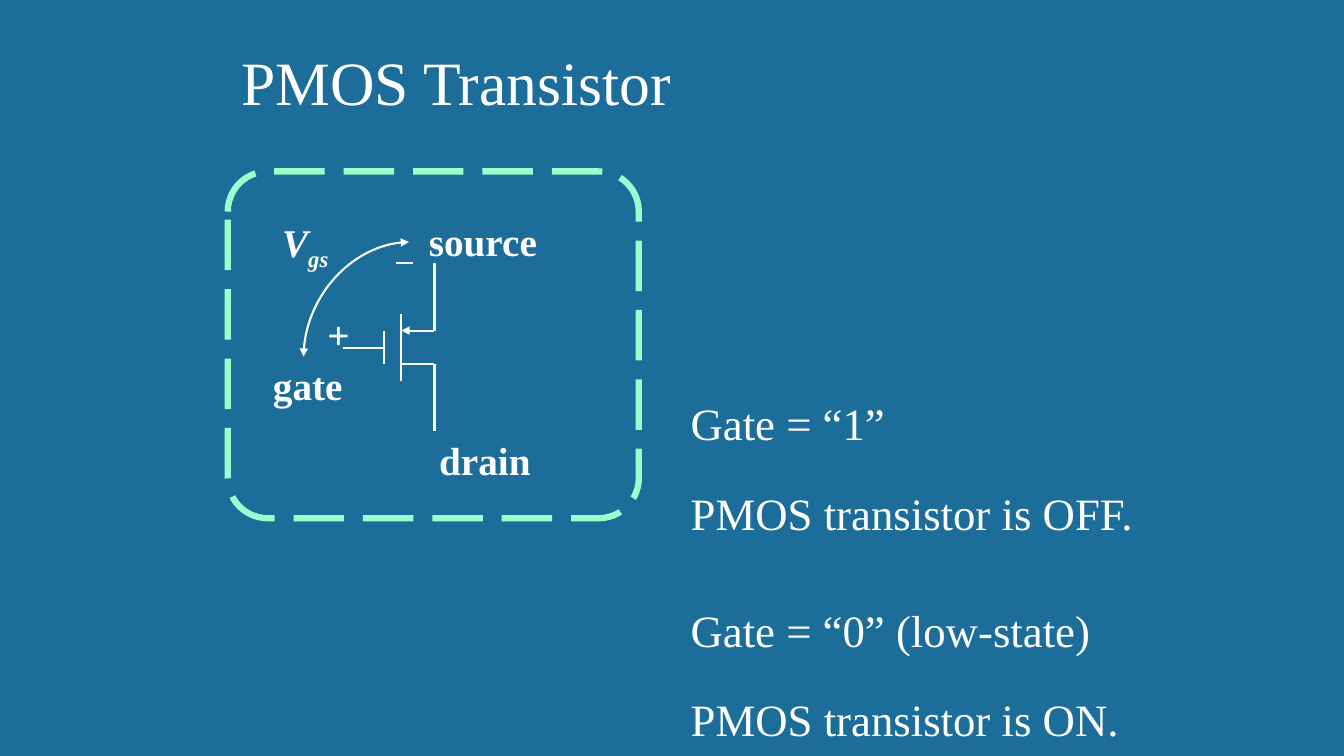
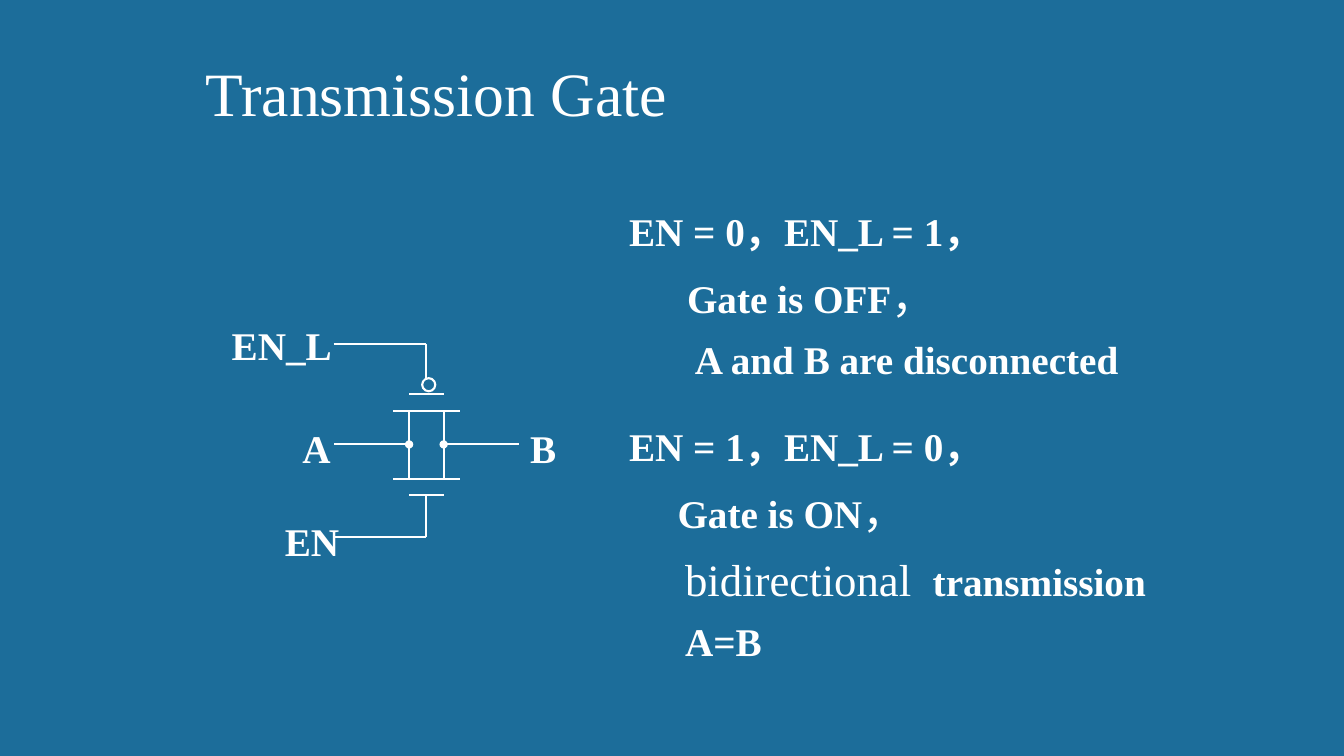
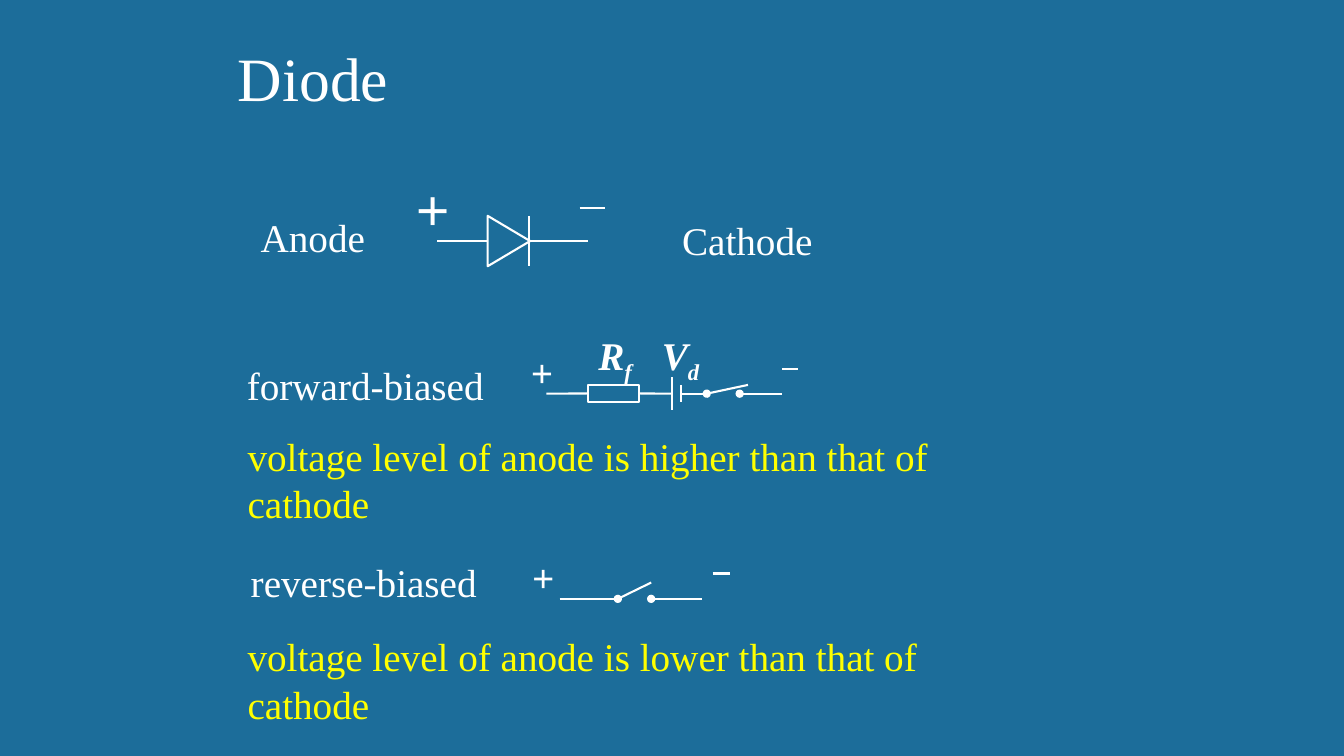
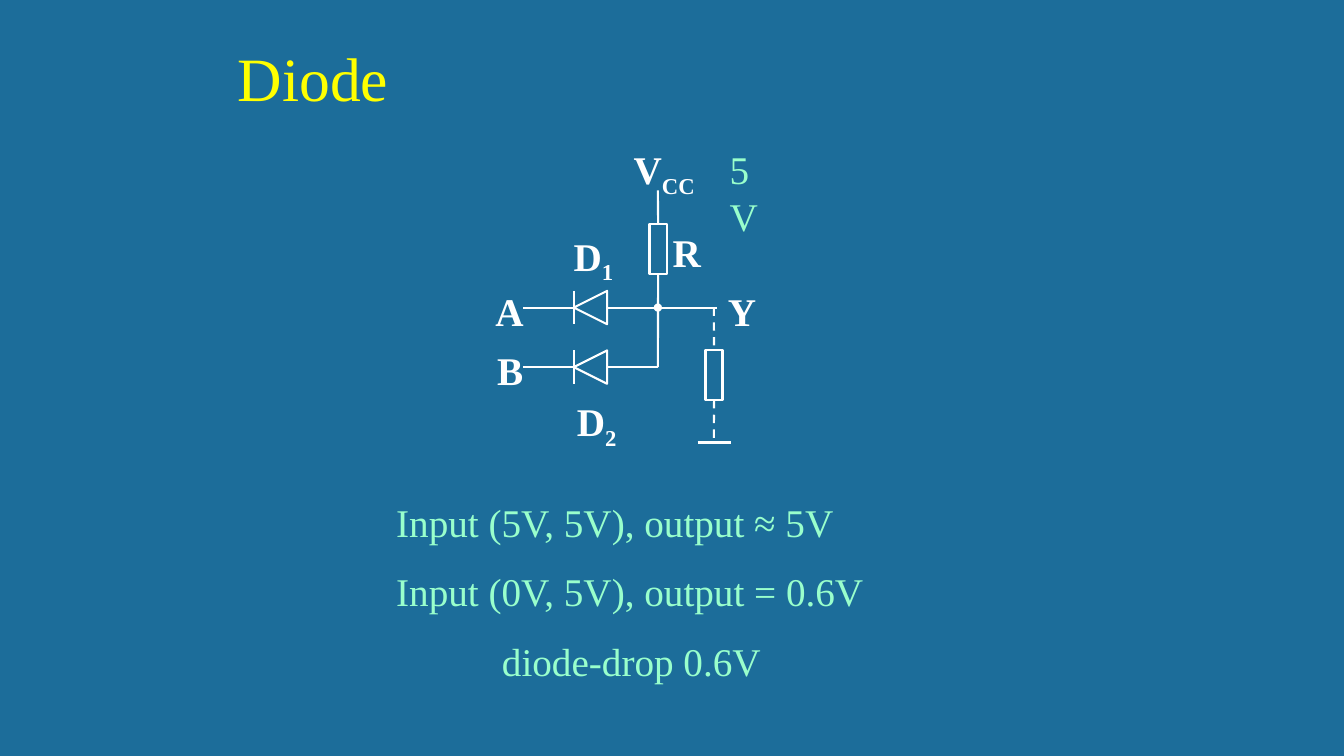
from pptx import Presentation
from pptx import util as u
from pptx.dml.color import RGBColor
from pptx.enum import dml, shapes, text
from pptx.oxml.ns import qn
from lxml import etree

WHITE, YELLOW, MINT, BLUE = "FFFFFF", "FFFF00", "99FFCC", "1C6D9A"
FONT = "Times New Roman"
LEFT, CENTER = text.PP_ALIGN.LEFT, text.PP_ALIGN.CENTER
TOP_SIDE, LEFT_SIDE, BOTTOM_SIDE, RIGHT_SIDE = range(4)
PLAIN, SUB = {}, {"sub": True}


def color(value):
    return RGBColor.from_string(value)


class Board:
    """Holds the deck style and the slide being drawn; lengths in cm."""

    def __init__(self):
        self.deck = Presentation()
        self.deck.slide_width, self.deck.slide_height = u.Cm(33.87), u.Cm(19.05)
        fill = self.deck.slide_master.background.fill
        fill.solid()
        fill.fore_color.rgb = color(BLUE)
        self.page = None

    def new_page(self, title, left, top, tint=WHITE, listed=True):
        layout = self.deck.slide_layouts[1 if listed else 5]
        self.page = self.deck.slides.add_slide(layout)
        box = self.page.shapes.title
        self.place(box, left, top, 21.6, 2.13)
        box.text_frame.vertical_anchor = text.MSO_ANCHOR.BOTTOM
        para = box.text_frame.paragraphs[0]
        para.alignment = LEFT
        self.span(para, title, size=44, tint=tint)

    def place(self, box, left, top, width, height):
        box.left, box.top = u.Cm(left), u.Cm(top)
        box.width, box.height = u.Cm(width), u.Cm(height)
        box.text_frame.word_wrap = True
        box.text_frame.auto_size = text.MSO_AUTO_SIZE.NONE

    def span(self, para, words, size=28, tint=WHITE, bold=False, italic=False, sub=False):
        span = para.add_run()
        span.text = words
        font = span.font
        font.name, font.size = FONT, u.Pt(size)
        font.bold, font.italic = bold, italic
        font.color.rgb = color(tint)
        if sub:
            span.font._element.set("baseline", "-25000")

    def body(self, left, top, width, height, lines, spacing=1.0):
        """Each line: (runs, left indent, space before or None, alignment)."""
        box = self.page.placeholders[1]
        self.place(box, left, top, width, height)
        frame = box.text_frame
        for index, (runs, indent, before, align) in enumerate(lines):
            para = frame.add_paragraph() if index else frame.paragraphs[0]
            para.alignment, para.line_spacing = align, spacing
            if before is not None:
                para.space_before = u.Pt(before)
            props = para._p.get_or_add_pPr()
            props.set("marL", str(u.Cm(indent)))
            props.set("indent", "0")
            etree.SubElement(props, qn("a:buNone"))
            for words, style in runs:
                self.span(para, words, **style)

    def label(self, left, top, width, words, sub="", align=LEFT, **style):
        box = self.page.shapes.add_textbox(u.Cm(left), u.Cm(top), u.Cm(width), u.Cm(1.45))
        box.text_frame.word_wrap = False
        box.text_frame.auto_size = text.MSO_AUTO_SIZE.SHAPE_TO_FIT_TEXT
        para = box.text_frame.paragraphs[0]
        para.alignment = align
        self.span(para, words, **style)
        if sub:
            self.span(para, sub, sub=True, **style)

    def outline(self, kind, left, top, width, height, turn=0, tint=WHITE, weight=1.5):
        shape = self.page.shapes.add_shape(
            kind, u.Cm(left), u.Cm(top), u.Cm(width), u.Cm(height))
        shape.shadow.inherit = False
        shape.fill.background()
        shape.line.color.rgb = color(tint)
        shape.line.width = u.Pt(weight)
        shape.rotation = turn
        return shape

    def resistor(self, left, top, width, height):
        return self.outline(shapes.MSO_SHAPE.RECTANGLE, left, top, width, height)

    def connector(self, start, end, kind=shapes.MSO_CONNECTOR.STRAIGHT,
                  head=None, tail=None, dashed=False):
        line = self.page.shapes.add_connector(kind, *(u.Cm(n) for n in start + end))
        line.line.color.rgb = color(WHITE)
        line.line.width = u.Pt(1.5)
        if dashed:
            line.line.dash_style = dml.MSO_LINE.DASH
        stroke = line.line._get_or_add_ln()
        for tag, mark in (("a:headEnd", head), ("a:tailEnd", tail)):
            if mark:
                etree.SubElement(stroke, qn(tag), type=mark)
        etree.SubElement(line._element.spPr, qn("a:effectLst"))
        return line

    def wire(self, *points, head=None, dashed=False, start=None, end=None):
        """Straight run through the points; start and end are (shape, side)."""
        lines = []
        for first, second in zip(points, points[1:]):
            mark = None if lines else head
            lines.append(self.connector(first, second, head=mark, dashed=dashed))
        if start:
            lines[0].begin_connect(*start)
        if end:
            lines[-1].end_connect(*end)

    def arc(self, start, end):
        line = self.connector(start, end, shapes.MSO_CONNECTOR.CURVE, "triangle", "triangle")
        line._element.spPr.find(qn("a:prstGeom")).set("prst", "curvedConnector2")


def pmos_page(board):
    board.new_page("PMOS Transistor", 5.82, 0.97)
    big = {"size": 32}
    states = [("Gate = “1”", None), ("PMOS transistor is OFF.", None),
              ("Gate = “0” (low-state)", 26), ("PMOS transistor is ON.", None)]
    board.body(17.15, 9.17, 12.5, 9.6,
               [([(words, big)], 0, before, LEFT) for words, before in states], 1.5)

    # Frame
    frame = board.outline(shapes.MSO_SHAPE.ROUNDED_RECTANGLE, 5.74, 4.32, 10.36, 8.74,
                          tint=MINT, weight=4.5)
    frame.adjustments[0] = 0.116
    frame.line.dash_style = dml.MSO_LINE.LONG_DASH

    # Transistor
    board.wire((9.68, 8.33), (9.68, 9.17))
    board.wire((10.11, 7.9), (10.11, 9.6))
    board.wire((10.11, 8.33), (10.95, 8.33), (10.95, 6.63), head="triangle")
    board.wire((10.11, 9.17), (10.95, 9.17), (10.95, 10.87))
    board.wire((9.68, 8.76), (8.64, 8.76))
    board.wire((9.98, 6.63), (10.41, 6.63))
    board.arc((10.31, 6.1), (7.65, 8.99))

    # Labels
    for left, top, width, words in ((10.56, 5.36, 3.25, "source"), (10.82, 10.87, 2.84, "drain"),
                                    (6.63, 8.99, 2.29, "gate"), (8, 7.7, 1.09, "+")):
        board.label(left, top, width, words, bold=True)
    board.label(6.86, 5.38, 1.75, "V", "gs", bold=True, italic=True)


def transmission_page(board):
    board.new_page("Transmission Gate", 4.93, 1.24)
    strong, big = {"bold": True}, {"size": 32}
    board.body(15.6, 4.98, 13.89, 13.77, [
        ([("EN = 0，EN_L = 1，", strong)], 0, None, LEFT),
        ([("Gate is OFF", strong), ("，", big)], 1.46, None, LEFT),
        ([("A and B are disconnected", strong)], 1.66, None, LEFT),
        ([("EN = 1，EN_L = 0，", strong)], 0, 25, LEFT),
        ([("Gate is ON", strong), ("，", big)], 1.22, None, LEFT),
        ([("bidirectional ", big), (" transmission", strong)], 1.41, None, LEFT),
        ([("A=B", strong)], 1.41, None, LEFT),
    ], 1.1)

    # Plates and channel sides
    for plate, channel in ((9.93, 10.36), (12.47, 12.07)):
        board.wire((10.31, plate), (11.18, plate))
        board.wire((9.91, channel), (11.58, channel))
    for side, outer in ((10.31, 8.41), (11.18, 13.08)):
        board.wire((side, 10.36), (side, 12.07))
        board.wire((side, 11.2), (outer, 11.2), head="oval")

    # Control leads
    board.outline(shapes.MSO_SHAPE.OVAL, 10.64, 9.53, 0.33, 0.33)
    board.wire((8.41, 8.66), (10.74, 8.66), (10.74, 9.53))
    board.wire((8.41, 13.54), (10.74, 13.54), (10.74, 12.47))

    for left, top, width, words in ((6.93, 12.9, 1.9, "EN"), (5.59, 7.98, 3.05, "EN_L"),
                                    (7.37, 10.57, 1.24, "A"), (13.11, 10.57, 1.17, "B")):
        board.label(left, top, width, words, bold=True)


def bias_page(board):
    board.new_page("Diode", 5.74, 0.86, listed=False)

    # Diode symbol
    board.outline(shapes.MSO_SHAPE.ISOSCELES_TRIANGLE, 12.19, 5.54, 1.27, 1.07, turn=90)
    board.wire((13.34, 5.44), (13.34, 6.71))
    board.wire((13.34, 6.07), (14.83, 6.07))
    board.wire((12.29, 6.07), (11.02, 6.07))
    board.wire((14.61, 5.23), (15.24, 5.23))
    board.label(10.16, 4.6, 1.52, "＋", bold=True)

    # Forward-biased model
    resistor = board.resistor(14.83, 9.7, 1.27, 0.43)
    board.wire((14.83, 9.92), (13.77, 9.92), start=(resistor, LEFT_SIDE))
    board.wire((16.1, 9.92), (16.94, 9.92), start=(resistor, RIGHT_SIDE))
    board.wire((16.94, 9.5), (16.94, 10.34))
    board.wire((17.17, 9.7), (17.17, 10.13))
    board.wire((17.17, 9.92), (17.81, 9.92))
    board.wire((17.81, 9.92), (18.85, 9.7), head="oval")
    board.wire((18.64, 9.92), (19.71, 9.92), head="oval")
    board.wire((19.71, 9.3), (20.12, 9.3))
    board.label(14.83, 8.23, 1.4, "R", "f", bold=True, italic=True)
    board.label(16.43, 8.23, 1.52, "V", "d", bold=True, italic=True)

    # Reverse-biased model
    board.wire((14.1, 15.09), (15.57, 15.09))
    board.wire((15.57, 15.09), (16.41, 14.68), head="oval")
    board.wire((16.41, 15.09), (17.68, 15.09), head="oval")
    board.wire((17.96, 14.45), (18.39, 14.45))

    # Labels
    for left, top in ((13.13, 8.66), (13.16, 13.82)):
        board.label(left, top, 1.09, "+", bold=True)
    for left, top, width, words in ((6.32, 5.26, 3.18, "Anode"), (16.94, 5.33, 3.84, "Cathode"),
                                    (5.97, 8.99, 6.55, "forward-biased"),
                                    (6.07, 13.94, 6.27, "reverse-biased")):
        board.label(left, top, width, words)
    for top, level, width in ((10.77, "higher", 20.95), (15.82, "lower", 20.68)):
        board.label(5.99, top, width, f"voltage level of anode is {level} than that of cathode",
                    tint=YELLOW)


def gate_page(board):
    board.new_page("Diode", 5.74, 0.86, tint=YELLOW)
    mint = {"tint": MINT}
    board.body(9.73, 12.42, 12.36, 4.9, [
        ([("Input (5V, 5V), output ≈ 5V", mint)], 0, 0, LEFT),
        ([("Input (0V, 5V), output = 0.6V", mint)], 0, 16, LEFT),
        ([("diode-drop 0.6V", mint)], 0, 16, CENTER),
    ])

    # Pull-up resistor
    pull_up = board.resistor(16.37, 5.64, 0.43, 1.27)
    board.wire((16.58, 5.64), (16.58, 4.8), start=(pull_up, TOP_SIDE))
    board.wire((16.58, 6.91), (16.58, 9.25), start=(pull_up, BOTTOM_SIDE))
    board.wire((16.58, 7.75), (18.06, 7.75), head="oval")

    # Input diodes
    for middle in (7.75, 9.25):
        top, bottom = middle - 0.42, middle + 0.42
        board.outline(shapes.MSO_SHAPE.ISOSCELES_TRIANGLE, 14.46, top, 0.84, 0.84, turn=270)
        board.wire((14.46, top), (14.46, bottom))
        board.wire((14.46, middle), (13.18, middle))
        board.wire((15.3, middle), (16.58, middle))

    # Load to ground
    load = board.resistor(17.78, 8.81, 0.43, 1.27)
    board.wire((17.99, 7.75), (17.99, 8.81), dashed=True, end=(load, TOP_SIDE))
    board.wire((17.99, 10.08), (17.99, 11.15), dashed=True, start=(load, BOTTOM_SIDE))
    board.wire((17.58, 11.15), (18.42, 11.15))

    # Labels
    for left, top, width, words, sub in (
            (12.22, 7.11, 1.24, "A", ""), (12.27, 8.61, 1.17, "B", ""),
            (14.17, 5.72, 1.57, "D", "1"), (14.25, 9.88, 1.57, "D", "2"),
            (16.69, 5.64, 1.24, "R", ""), (18.08, 7.11, 1.24, "Y", "")):
        board.label(left, top, width, words, sub, CENTER, bold=True)
    board.label(15.72, 3.53, 2.05, "V", "CC", bold=True)
    board.label(18.14, 3.53, 1.7, "5V", tint=MINT)


def main():
    board = Board()
    for draw in (pmos_page, transmission_page, bias_page, gate_page):
        draw(board)
    board.deck.save("out.pptx")


if __name__ == "__main__":
    main()
